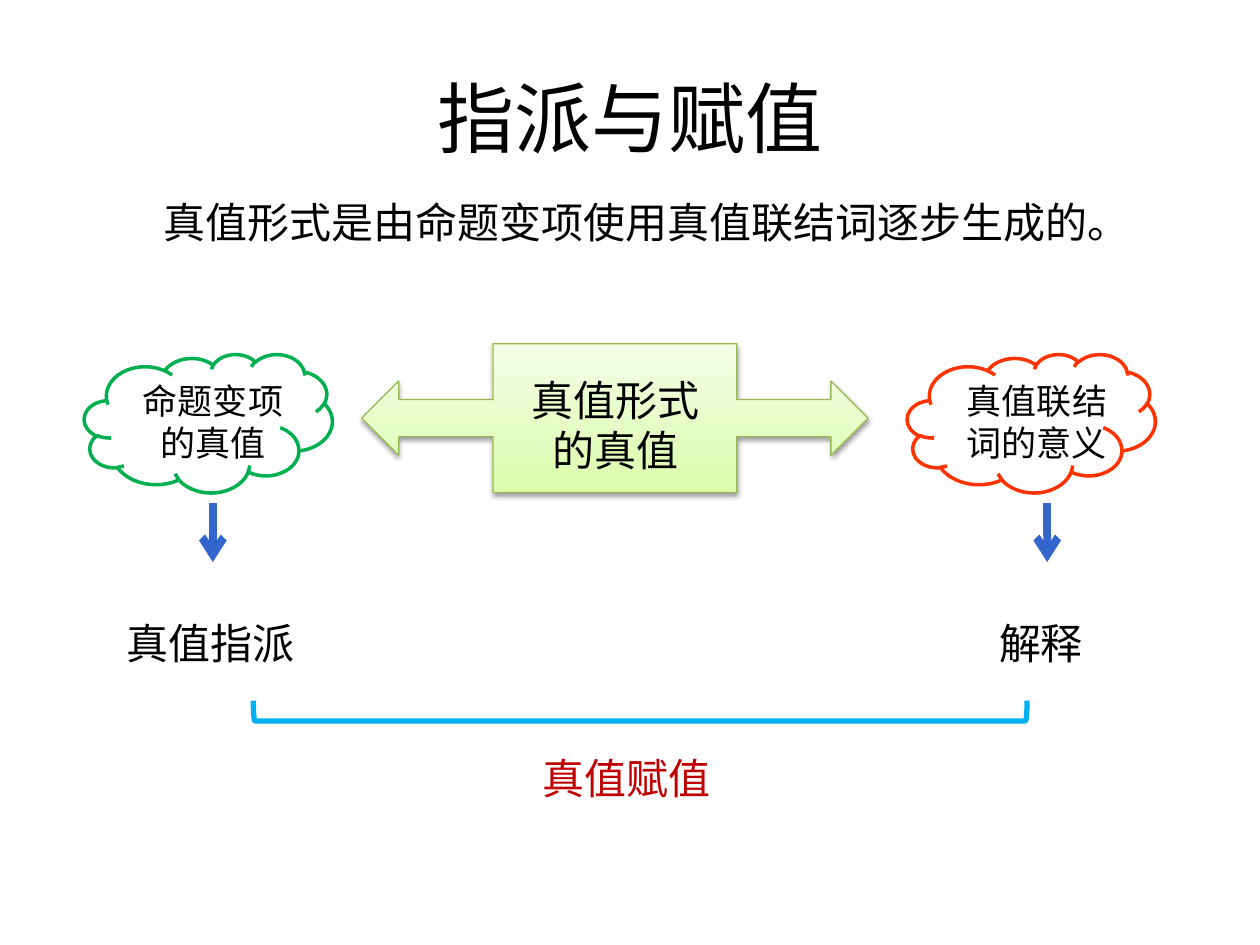
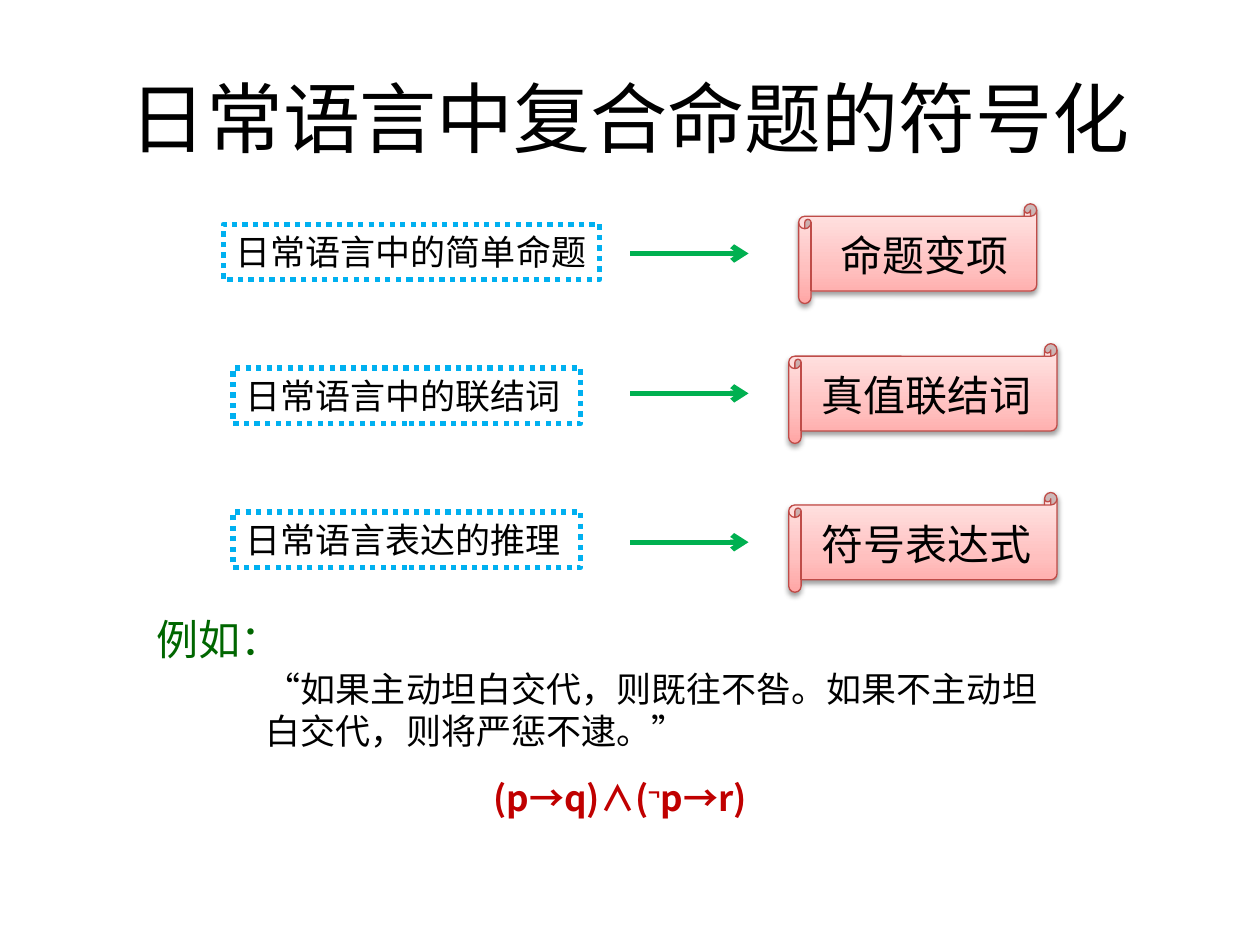
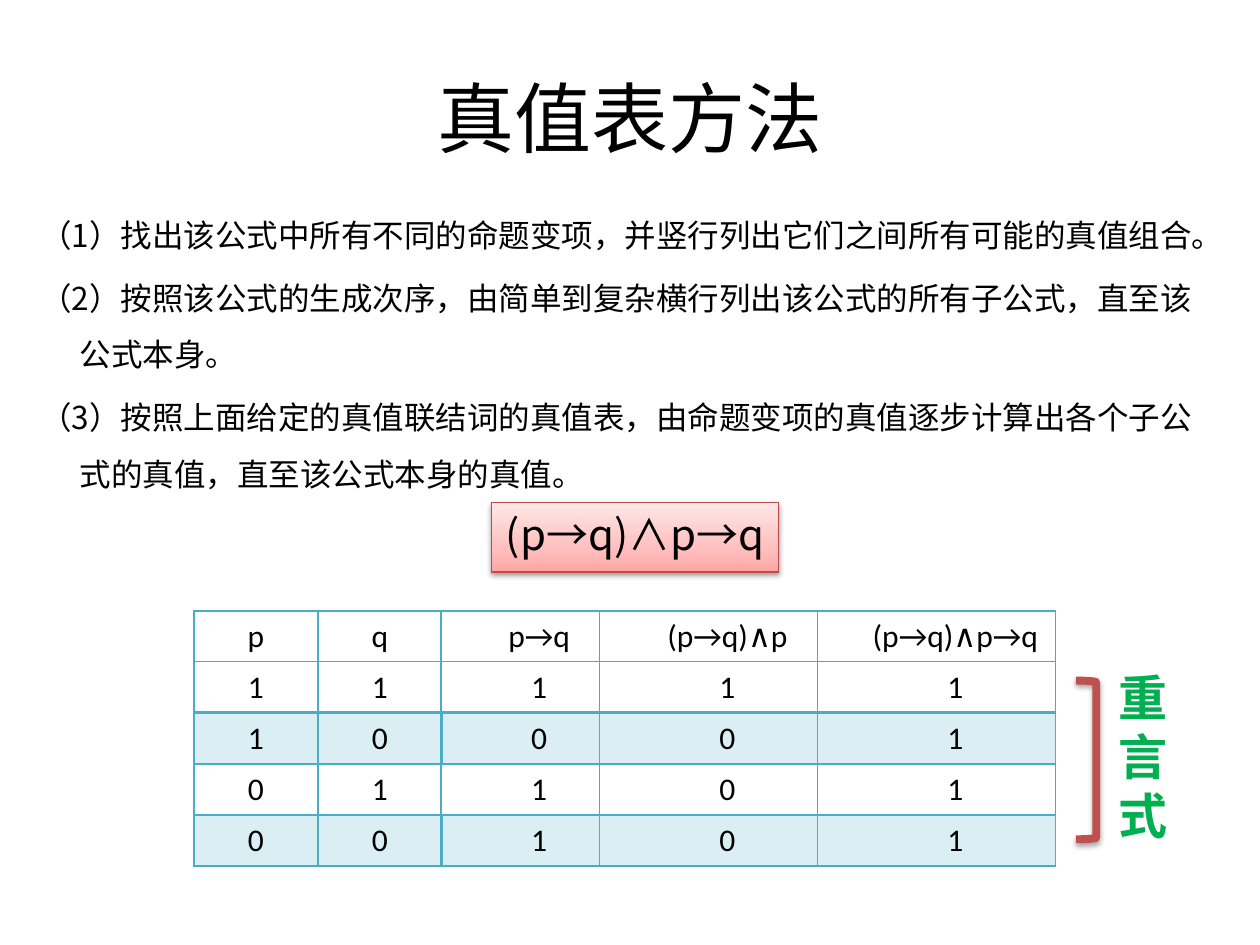
from copy import deepcopy

from lxml.etree import SubElement
from pptx import Presentation
from pptx.dml.color import RGBColor
from pptx.enum.dml import MSO_LINE
from pptx.enum.shapes import MSO_CONNECTOR, MSO_SHAPE as SHAPE
from pptx.enum.text import MSO_ANCHOR as ANCHOR, MSO_AUTO_SIZE, PP_ALIGN as ALIGN
from pptx.oxml.ns import qn
from pptx.util import Cm, Pt

BLACK = RGBColor(0x00, 0x00, 0x00)
WHITE = RGBColor(0xFF, 0xFF, 0xFF)
GREEN = RGBColor(0x00, 0xB0, 0x50)
DARK_GREEN = RGBColor(0x00, 0x66, 0x00)
ORANGE = RGBColor(0xFF, 0x33, 0x00)
BLUE = RGBColor(0x33, 0x66, 0xCC)
SKY = RGBColor(0x00, 0xB0, 0xF0)
RED = RGBColor(0xC0, 0x00, 0x00)
BRICK = RGBColor(0xC0, 0x50, 0x4D)
TEAL = RGBColor(0x4B, 0xAC, 0xC6)
LIME_EDGE = RGBColor(0x98, 0xB9, 0x55)
PINK_EDGE = RGBColor(0xBF, 0x4C, 0x48)
LIME = (RGBColor(0xDA, 0xFD, 0xA7), RGBColor(0xE4, 0xFC, 0xC2), RGBColor(0xF5, 0xFF, 0xE7))
PINK = (RGBColor(0xFF, 0xA6, 0xA5), RGBColor(0xFF, 0xC0, 0xBF), RGBColor(0xFF, 0xE7, 0xE7))
GRADIENT_POSITIONS = (0, 0.35, 1)

JP = "Noto Sans CJK JP"
SC = "Noto Sans CJK SC"
ROW_HEIGHT = 1.03


def cm(*lengths):
    return [Cm(length) for length in lengths]


def write(frame, lines, size=24, font=JP, color=BLACK, bold=False, align=ALIGN.LEFT,
          left=None, first=None, spacing=None, level=0, bullet=True):
    """Fill a frame; a line is a string, or a tuple whose every second part is raised."""
    for number, line in enumerate(lines):
        paragraph = frame.paragraphs[0] if number == 0 else frame.add_paragraph()
        paragraph.level = level
        paragraph.alignment = align
        properties = paragraph._p.get_or_add_pPr()
        if left is not None:
            properties.set("marL", str(Cm(left)))
        if first is not None:
            properties.set("indent", str(Cm(first)))
        if not bullet:
            SubElement(properties, qn("a:buNone"))
        if spacing:
            paragraph.line_spacing = spacing
        for index, part in enumerate([line] if isinstance(line, str) else line):
            run = paragraph.add_run()
            run.text = part
            run.font.size = Pt(size)
            run.font.name = font
            run.font.bold = bold
            run.font.color.rgb = color
            run_properties = run._r.get_or_add_rPr()
            SubElement(run_properties, qn("a:ea"), typeface=font)
            if index % 2:
                run_properties.set("baseline", "30000")


def add_label(slide, box, *lines, **style):
    frame = slide.shapes.add_textbox(*cm(*box)).text_frame
    frame.word_wrap = True
    write(frame, lines, **style)


def add_titled_slide(deck, title, layout):
    slide = deck.slides.add_slide(deck.slide_layouts[layout])
    slide.shapes.title.text_frame.vertical_anchor = ANCHOR.MIDDLE
    write(slide.shapes.title.text_frame, [title], size=44, align=ALIGN.CENTER)
    return slide


def fill_body(slide, box, *lines, **style):
    body = slide.placeholders[1]
    body.left, body.top, body.width, body.height = cm(*box)
    body.text_frame.auto_size = MSO_AUTO_SIZE.NONE
    write(body.text_frame, lines, font=SC, bullet=False, **style)


def fill_gradient(fill, shape, colors):
    fill.gradient()
    fill.gradient_angle = 90
    stops = shape._element.spPr.find(qn("a:gradFill")).find(qn("a:gsLst"))
    stops.insert(1, deepcopy(stops[0]))
    for stop, color, position in zip(fill.gradient_stops, colors, GRADIENT_POSITIONS):
        stop.color.rgb = color
        stop.position = position


def add_shadow(shape, opacity=38, distance=1.6):
    effects = shape._element.spPr.find(qn("a:effectLst"))
    shadow = SubElement(effects, qn("a:outerShdw"), blurRad=str(Pt(3.1)),
                        dist=str(Pt(distance)), dir="5400000", rotWithShape="0")
    black = SubElement(shadow, qn("a:srgbClr"), val=str(BLACK))
    SubElement(black, qn("a:alpha"), val=str(opacity * 1000))


def add_outline(slide, kind, box, edge, width, fill=None):
    """Add a preset shape; fill is a colour, three gradient colours or nothing."""
    shape = slide.shapes.add_shape(kind, *cm(*box))
    shape.shadow.inherit = False
    shape.line.color.rgb = edge
    shape.line.width = Pt(width)
    if fill is None:
        shape.fill.background()
    elif isinstance(fill, RGBColor):
        shape.fill.solid()
        shape.fill.fore_color.rgb = fill
    else:
        fill_gradient(shape.fill, shape, fill)
        add_shadow(shape)
    shape.text_frame.vertical_anchor = ANCHOR.TOP
    return shape


def add_arrow(slide, start, end, color, width):
    arrow = slide.shapes.add_connector(MSO_CONNECTOR.STRAIGHT, *cm(*start, *end))
    arrow.line.color.rgb = color
    arrow.line.width = Pt(width)
    SubElement(arrow.line._get_or_add_ln(), qn("a:tailEnd"), type="arrow")
    SubElement(arrow._element.spPr, qn("a:effectLst"))


def add_borders(cell, bottom):
    properties = cell._tc.get_or_add_tcPr()
    for side, width in (("L", 1), ("R", 1), ("T", 1), ("B", bottom)):
        line = SubElement(properties, qn(f"a:ln{side}"), w=str(Pt(width)))
        SubElement(SubElement(line, qn("a:solidFill")), qn("a:srgbClr"), val=str(TEAL))


def fill_cell(cell, shaded):
    cell.fill.solid()
    cell.fill.fore_color.rgb = TEAL if shaded else WHITE
    if shaded:
        color = cell._tc.tcPr.find(qn("a:solidFill"))[0]
        SubElement(color, qn("a:alpha"), val="20000")


def add_truth_table(slide, left, top, widths, rows, first=None):
    """Add a grid of centred values; first is the first-line indent of its cells."""
    table = slide.shapes.add_table(len(rows), len(widths),
                                   *cm(left, top, sum(widths), ROW_HEIGHT * len(rows))).table
    table.first_row = table.horz_banding = False
    for column, width in zip(table.columns, widths):
        column.width = Cm(width)
    for r, values in enumerate(rows):
        table.rows[r].height = Cm(ROW_HEIGHT)
        for c, value in enumerate(values):
            cell = table.cell(r, c)
            if first:
                cell.margin_left = cell.margin_right = Cm(0.18)
                cell.margin_top = cell.margin_bottom = 0
                cell.vertical_anchor = ANCHOR.MIDDLE
            write(cell.text_frame, [value], size=18, font="Calibri",
                  align=ALIGN.CENTER, first=first)
            add_borders(cell, bottom=2 if r == 0 else 1)
            fill_cell(cell, shaded=r % 2 == 1)


def build_assignment(deck):
    slide = add_titled_slide(deck, "指派与赋值", layout=1)
    fill_body(slide, (3.05, 3.84, 22.86, 3.28),
              "真值形式是由命题变项使用真值联结词逐步生成的。", left=0.97, first=-0.97)
    add_outline(slide, SHAPE.LEFT_RIGHT_ARROW_CALLOUT, (7.29, 6.93, 10.21, 3),
                LIME_EDGE, 0.75, LIME)
    add_label(slide, (10.31, 7.42, 4.19, 2.31), "真值形式", "的真值",
              font=SC, align=ALIGN.CENTER)

    sides = (
        (1.7, GREEN, "命题变项的真值", 2.49, 4.29, "真值指派", 2.31, 4.8),
        (18.29, ORANGE, "真值联结词的意义", 19.1, 21.11, "解释", 19.89, 2.59),
    )
    for cloud_left, edge, source, source_left, arrow_x, result, result_left, width in sides:
        add_outline(slide, SHAPE.CLOUD, (cloud_left, 7.14, 5, 2.79), edge, 2, WHITE)
        add_label(slide, (source_left, 7.52, 3.61, 1.96), source, size=20, align=ALIGN.CENTER)
        add_arrow(slide, (arrow_x, 10.13), (arrow_x, 11.33), BLUE, 4.5)
        add_label(slide, (result_left, 12.32, width, 1.27), result)

    bracket = add_outline(slide, SHAPE.RIGHT_BRACKET, (12.7, 6.53, 0.41, 15.6), SKY, 3)
    bracket.rotation = 90
    add_label(slide, (10.69, 15.04, 3.99, 1.27), "真值赋值", color=RED)


def build_symbolization(deck):
    slide = add_titled_slide(deck, "日常语言中复合命题的符号化", layout=5)
    steps = (
        ("日常语言中的简单命题", 4.5, 7.59, "命题变项", 16.1, 4.11, 4.8, 0.59),
        ("日常语言中的联结词", 4.7, 7.01, "真值联结词", 15.9, 6.93, 5.41, 0.41),
        ("日常语言表达的推理", 4.7, 7.01, "符号表达式", 15.9, 9.93, 5.41, 0.41),
    )
    for row, step in enumerate(steps):
        phrase, left, width, symbol, scroll_left, scroll_top, scroll_width, inset = step
        phrase_box = add_outline(slide, SHAPE.RECTANGLE, (left, 4.52 + 2.9 * row, width, 1.12),
                                 SKY, 3, WHITE)
        phrase_box.line.dash_style = MSO_LINE.ROUND_DOT
        write(phrase_box.text_frame, [phrase], size=20, font="Arial")
        add_arrow(slide, (12.7, scroll_top + 1), (15.09, scroll_top + 1), GREEN, 3)
        add_outline(slide, SHAPE.HORIZONTAL_SCROLL,
                    (scroll_left, scroll_top, scroll_width, 2.01), PINK_EDGE, 0.75, PINK)
        add_label(slide, (scroll_left + inset, scroll_top + 0.39, 5, 1.27), symbol, font=SC)

    add_label(slide, (2.9, 12.24, 3.4, 1.27), "例如：", color=DARK_GREEN)
    add_label(slide, (5.11, 13.34, 16.21, 2.74),
              "“如果主动坦白交代，则既往不咎。如果不主动坦白交代，则将严惩不逮。”",
              size=20, font=SC)
    add_label(slide, (9.7, 15.52, 6.2, 1.12), ("(p→q)∧(", "¬", "p→r)"),
              size=20, font=SC, color=RED, bold=True)


def build_truth_table(deck):
    slide = add_titled_slide(deck, "真值表方法", layout=1)
    fill_body(slide, (-0.71, 3.84, 25.4, 7.67),
              "（1）找出该公式中所有不同的命题变项，并竖行列出它们之间所有可能的真值组合。",
              "（2）按照该公式的生成次序，由简单到复杂横行列出该公式的所有子公式，直至该公式本身。",
              "（3）按照上面给定的真值联结词的真值表，由命题变项的真值逐步计算出各个子公式的真值，"
              "直至该公式本身的真值。",
              size=18, left=2.06, first=-0.79, spacing=1.5, level=1)
    formula = add_outline(slide, SHAPE.RECTANGLE, (9.91, 10.13, 5.79, 1.4),
                          PINK_EDGE, 0.75, PINK)
    write(formula.text_frame, ["(p→q)∧p→q"], align=ALIGN.CENTER)

    halves = (
        (3.91, (2.5, 2.5), ("p", "q"), ("11", "10", "01", "00"), None),
        (8.89, (3.2, 4.39, 4.8), ("p→q", "(p→q)∧p", "(p→q)∧p→q"),
         ("111", "001", "101", "101"), 0.76),
    )
    for left, widths, heads, values, first in halves:
        add_truth_table(slide, left, 12.32, widths, [heads], first)
        add_truth_table(slide, left, 13.34, widths, values, first)

    bracket = add_outline(slide, SHAPE.RIGHT_BRACKET, (21.69, 13.72, 0.41, 3.2), BRICK, 4.5)
    add_shadow(bracket, opacity=35, distance=1.8)
    add_label(slide, (22.3, 13.34, 1.6, 3.84), *"重言式", size=28, color=GREEN, bold=True)


def main():
    deck = Presentation()
    deck.slide_width, deck.slide_height = cm(25.4, 19.05)
    build_assignment(deck)
    build_symbolization(deck)
    build_truth_table(deck)
    deck.save("out.pptx")


if __name__ == "__main__":
    main()
